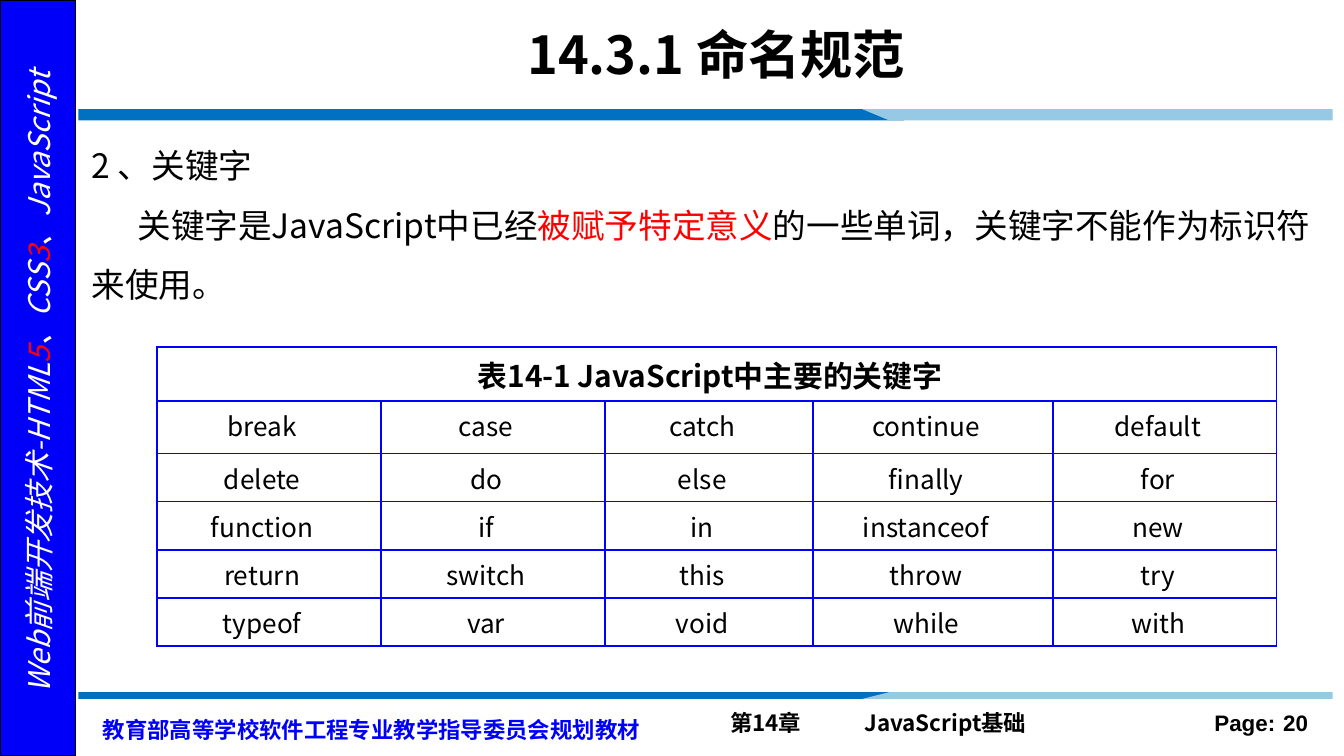
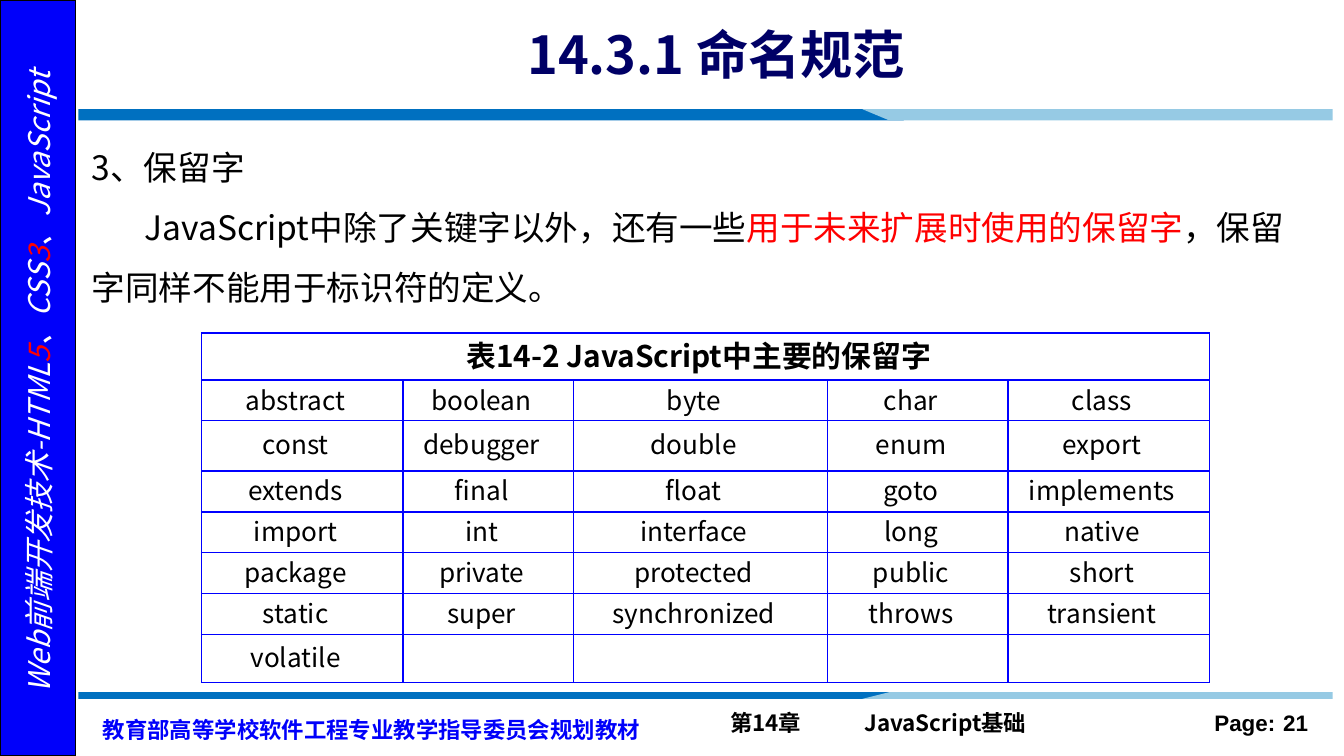
from dataclasses import dataclass

from lxml.etree import SubElement as Sub
from pptx import Presentation
from pptx.dml.color import RGBColor as Rgb
from pptx.enum.shapes import MSO_SHAPE as Kind
from pptx.enum.text import MSO_ANCHOR as Anchor, MSO_AUTO_SIZE as Fit, PP_ALIGN as Align
from pptx.oxml.ns import qn
from pptx.util import Inches, Pt


@dataclass(frozen=True)
class Theme:
    sans: str = "Noto Sans CJK SC"
    arial: str = "Arial"
    black: str = "000000"
    white: str = "FFFFFF"
    red: str = "FF0000"
    navy: str = "000066"
    blue: str = "0000FA"
    rule: str = "0000FF"
    dark: str = "0070C0"
    light: str = "96CAE4"
    title: int = 28
    body: int = 18
    head: int = 16
    cell: int = 14
    foot: int = 12


T = Theme()
COLS, ROWS = 120, 67.5  # grid of the slide, twelve units to the inch

WORDS = """
break case catch continue default
delete do else finally for
function if in instanceof new
return switch this throw try
typeof var void while with"""

SPARE = """
abstract boolean byte char class
const debugger double enum export
extends final float goto implements
import int interface long native
package private protected public short
static super synchronized throws transient
volatile"""


def unit(n):
    """Turn grid units into a length."""
    return Inches(n / 12)


def rgb(color):
    return Rgb.from_string(color)


def write(frame, *paras, size=T.body, color=T.black, font=T.sans, bold=False,
          italic=False, align=Align.LEFT, space=None, left=0, first=0, tab=None):
    """Fill a frame; a paragraph is a string or a list of strings and (string, color)."""
    for i, parts in enumerate(paras):
        para = frame.paragraphs[0] if i == 0 else frame.add_paragraph()
        para.alignment = align
        para.font.size = Pt(size)
        if space:
            para.line_spacing = space
        indent(para, left, first, tab)
        for part in [parts] if isinstance(parts, str) else parts:
            words, hue = (part, color) if isinstance(part, str) else part
            run = para.add_run()
            run.text = words
            run.font.size, run.font.bold, run.font.italic = Pt(size), bold, italic
            run.font.color.rgb = rgb(hue)
            run.font.name = font
            Sub(run.font._element, qn("a:ea")).set("typeface", font)


def indent(para, left, first, tab=None):
    props = para._p.get_or_add_pPr()
    props.set("marL", str(unit(left)))
    props.set("indent", str(unit(first)))
    if tab:
        pos, side = tab
        stop = Sub(Sub(props, qn("a:tabLst")), qn("a:tab"))
        stop.set("pos", str(unit(pos)))
        stop.set("algn", side)


def label(slide, at, *paras, mid=False, grow=False, turn=0, **look):
    box = slide.shapes.add_textbox(*map(unit, at))
    box.rotation = turn
    frame = box.text_frame
    frame.word_wrap = True
    frame.auto_size = Fit.SHAPE_TO_FIT_TEXT if grow else Fit.NONE
    frame.vertical_anchor = Anchor.MIDDLE if mid else Anchor.TOP
    write(frame, *paras, **look)
    return frame


def patch(slide, points, color):
    start, *rest = [(unit(x), unit(y)) for x, y in points]
    pen = slide.shapes.build_freeform(*start)
    pen.add_line_segments(rest, close=True)
    shape = pen.convert_to_shape()
    shape.shadow.inherit = False
    shape.fill.solid()
    shape.fill.fore_color.rgb = rgb(color)
    shape.line.fill.background()


def band(slide, flat, slant):
    """Draw a two-tone rule between two heights, with a slanted joint."""
    patch(slide, [(7, flat), (78.5, flat), (80.7, slant), (7, slant)], T.dark)
    patch(slide, [(77, flat), (119, flat), (119, slant), (79.4, slant)], T.light)


def side(slide):
    bar = slide.shapes.add_shape(Kind.RECTANGLE, 0, 0, unit(6.75), unit(ROWS))
    bar.shadow.inherit = False
    bar.fill.solid()
    bar.fill.fore_color.rgb = rgb(T.blue)
    bar.line.color.rgb = rgb(T.black)
    bar.line.width = Pt(1)
    name = ["Web前端开发技术-HTML", ("5", T.red), "、CSS", ("3", T.red), "、JavaScript"]
    label(slide, (-27.7, 31.95, 62.3, 4.4), name, turn=270, grow=True,
          size=T.head, color=T.white, italic=True, align=Align.CENTER)


def footer(slide, page):
    look = dict(size=T.foot, bold=True, grow=True)
    label(slide, (64, 62.75, 39.5, 3.6), "第14章\tJavaScript基础", tab=(8.7, "l"), **look)
    label(slide, (104, 62.75, 15, 3.6), f"Page:\t{page}", font=T.arial,
          first=3.25, tab=(12.6, "r"), **look)
    label(slide, (8, 62.75, 52, 4.2), "教育部高等学校软件工程专业教学指导委员会规划教材",
          color=T.blue, space=Pt(18), **look)


def base(deck, page, color):
    """Add a slide with everything the slides share."""
    slide = deck.slides.add_slide(deck.slide_layouts[6])
    footer(slide, page)
    side(slide)
    band(slide, 9.75, 10.75)
    band(slide, 62.4, 61.8)
    label(slide, (13, 1, 101.9, 7.5), "14.3.1 命名规范", mid=True, size=T.title,
          color=color, bold=True, align=Align.CENTER)
    return slide


def body(slide, top, tall, head, parts, first):
    frame = label(slide, (7, top, 111.7, tall), head, parts, space=Pt(32))
    for para, (left, shift) in zip(frame.paragraphs, [(2.4, -2.4), (0, first)]):
        indent(para, left, shift)


def edge(cell):
    props = cell._tc.get_or_add_tcPr()
    for i, name in enumerate(("lnL", "lnR", "lnT", "lnB")):
        line = props.makeelement(qn(f"a:{name}"), {"w": str(Pt(1))})
        Sub(Sub(line, qn("a:solidFill")), qn("a:srgbClr")).set("val", T.rule)
        props.insert(i, line)


def grid(slide, at, cols, rows, title, words, mid=False, space=None):
    lines = [line.split() for line in words.strip().splitlines()]
    table = slide.shapes.add_table(len(rows), len(cols), *map(unit, at),
                                   unit(sum(cols)), unit(sum(rows))).table
    table.first_row = table.horz_banding = False
    for col, wide in zip(table.columns, cols):
        col.width = unit(wide)
    for row, tall in zip(table.rows, rows):
        row.height = unit(tall)
    table.cell(0, 0).merge(table.cell(0, len(cols) - 1))
    for y, line in enumerate([[title], *lines]):
        for x in range(len(cols)):
            cell = table.cell(y, x)
            cell.fill.background()
            edge(cell)
            cell.margin_left, cell.margin_right = 0, unit(1.2)
            cell.margin_top = cell.margin_bottom = unit(0.5)
            cell.vertical_anchor = Anchor.MIDDLE if mid else Anchor.TOP
            write(cell.text_frame, line[x:x + 1], size=T.cell if y else T.head,
                  bold=y == 0, align=Align.CENTER, space=space, left=4.5, first=-4.5)


def main():
    deck = Presentation()
    deck.slide_width, deck.slide_height = unit(COLS), unit(ROWS)

    keys = base(deck, 20, T.black)
    body(keys, 10.6, 16.2, "2 、关键字",
         ["关键字是JavaScript中已经", ("被赋予特定意义", T.red),
          "的一些单词，关键字不能作为标识符来使用。"], 4.1)
    grid(keys, (14, 31), [20, 20, 18.6, 21.4, 20], [4.8, 4.7] + [4.3] * 4,
         "表14-1 JavaScript中主要的关键字", WORDS)

    kept = base(deck, 21, T.navy)
    body(kept, 10.8, 16.8, "3、保留字",
         ["JavaScript中除了关键字以外，还有一些", ("用于未来扩展时使用的保留字", T.red),
          "，保留字同样不能用于标识符的定义。"], 4.75)
    grid(kept, (18, 29.75), [18, 15.2, 22.7, 16.1, 18],
         [4.2, 3.6, 4.5] + [3.65] * 4 + [4.3],
         "表14-2 JavaScript中主要的保留字", SPARE, mid=True, space=0.8)

    deck.save("out.pptx")


if __name__ == "__main__":
    main()
